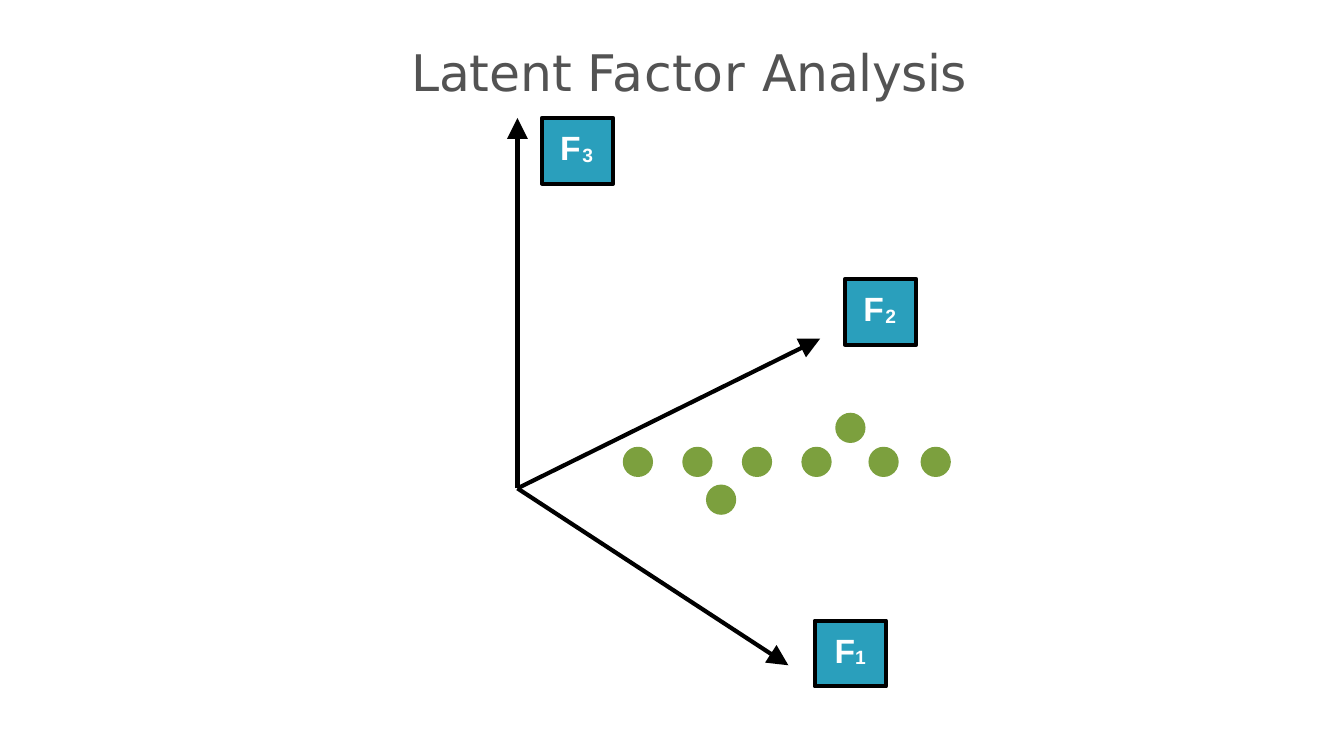
import dataclasses

import lxml.etree
import pptx
import pptx.dml.color
import pptx.enum.shapes
import pptx.enum.text
import pptx.oxml.ns
import pptx.util

BLACK = pptx.dml.color.RGBColor(0x00, 0x00, 0x00)
WHITE = pptx.dml.color.RGBColor(0xFF, 0xFF, 0xFF)
GREY = pptx.dml.color.RGBColor(0x53, 0x53, 0x53)
TEAL = pptx.dml.color.RGBColor(0x2A, 0x9F, 0xBC)
GREEN = pptx.dml.color.RGBColor(0x7C, 0xA0, 0x3E)

SLIDE_WIDTH = pptx.util.Inches(17.78)
SLIDE_HEIGHT = pptx.util.Inches(10)
STROKE = pptx.util.Pt(4)

ORIGIN = (38.5, 64.6)
LABEL_SIZE = (5.29, 8.7)
DOT_SIZE = (2.25, 4.0)
DOT_ROW_LEFT, DOT_ROW_TOP, DOT_STEP = 46.34, 59.1, 4.43


@dataclasses.dataclass(frozen=True)
class Factor:
    index: str
    tip: tuple[float, float]
    label: tuple[float, float]
    indent: float = 0.24
    tracking: tuple[float, float] = (1.5, 2.2)


FACTORS = [
    Factor("1", (58.66, 88.0), (60.63, 82.1), 0.26, (-0.7, -1)),
    Factor("2", (61.02, 44.8), (62.88, 36.9)),
    Factor("3", (38.5, 15.6), (40.33, 15.6)),
]
DOTS = [(DOT_ROW_LEFT + step * DOT_STEP, DOT_ROW_TOP) for step in range(4)] + [
    (64.62, DOT_ROW_TOP),
    (68.5, DOT_ROW_TOP),
    (52.53, 64.1),
    (62.15, 54.6),
]


def across(percent: float) -> int:
    return round(SLIDE_WIDTH * percent / 100)


def down(percent: float) -> int:
    return round(SLIDE_HEIGHT * percent / 100)


def add_text(paragraph, text: str, *, size: float, font: str, color,
             bold: bool = False, tracking: float = 0, baseline: int = 0) -> None:
    run = paragraph.add_run()
    run.text = text
    run.font.size = pptx.util.Pt(size)
    run.font.name = font
    run.font.color.rgb = color
    run.font.bold = bold
    properties = run.font._element
    properties.set("spc", str(round(tracking * 100)))
    if baseline:
        properties.set("baseline", str(baseline * 1000))


def prepare_frame(frame, *, left: float, top: float, space_before: float):
    frame.margin_left = pptx.util.Inches(left)
    frame.margin_top = pptx.util.Inches(top)
    frame.margin_right = frame.margin_bottom = 0
    frame.word_wrap = True
    frame.auto_size = pptx.enum.text.MSO_AUTO_SIZE.NONE
    frame.vertical_anchor = pptx.enum.text.MSO_ANCHOR.TOP
    paragraph = frame.paragraphs[0]
    paragraph.alignment = pptx.enum.text.PP_ALIGN.LEFT
    paragraph.space_before = pptx.util.Pt(space_before)
    paragraph.line_spacing = 1.0
    return paragraph


def add_title(slide) -> None:
    title = slide.shapes.title
    title.left, title.top = across(30.54), down(5.4)
    title.width, title.height = across(41.45), down(8.3)
    heading = prepare_frame(title.text_frame, left=0.01, top=0.01, space_before=1)
    for word, tracking in (("Latent ", -0.1), ("Factor ", 0.6), ("Analysis", -0.4)):
        add_text(heading, word, size=48, font="DejaVu Sans", color=GREY,
                 tracking=tracking)


def add_axis(slide, factor: Factor) -> None:
    axis = slide.shapes.add_connector(
        pptx.enum.shapes.MSO_CONNECTOR.STRAIGHT,
        across(ORIGIN[0]), down(ORIGIN[1]),
        across(factor.tip[0]), down(factor.tip[1]))
    axis.line.color.rgb = BLACK
    axis.line.width = STROKE
    lxml.etree.SubElement(axis.line._get_or_add_ln(), pptx.oxml.ns.qn("a:tailEnd"),
                          type="triangle", w="lg", len="lg")
    lxml.etree.SubElement(axis._element.spPr, pptx.oxml.ns.qn("a:effectLst"))


def add_filled(slide, kind, place: tuple[float, float],
               size: tuple[float, float], color):
    shape = slide.shapes.add_shape(kind, across(place[0]), down(place[1]),
                                   across(size[0]), down(size[1]))
    shape.shadow.inherit = False
    shape.fill.solid()
    shape.fill.fore_color.rgb = color
    shape.line.fill.background()
    return shape


def add_label(slide, factor: Factor) -> None:
    label = add_filled(slide, pptx.enum.shapes.MSO_SHAPE.RECTANGLE,
                       factor.label, LABEL_SIZE, TEAL)
    label.line.color.rgb = BLACK
    label.line.width = STROKE
    symbol = prepare_frame(label.text_frame, left=factor.indent, top=0.12,
                           space_before=9)
    letter_tracking, index_tracking = factor.tracking
    add_text(symbol, "F", size=32, font="Arial", color=WHITE, bold=True,
             tracking=letter_tracking)
    add_text(symbol, factor.index, size=31.5, font="Arial", color=WHITE, bold=True,
             tracking=index_tracking, baseline=-5)


def main() -> None:
    deck = pptx.Presentation()
    deck.slide_width, deck.slide_height = SLIDE_WIDTH, SLIDE_HEIGHT
    slide = deck.slides.add_slide(deck.slide_layouts[5])
    add_title(slide)
    for factor in FACTORS:
        add_axis(slide, factor)
    for dot in DOTS:
        add_filled(slide, pptx.enum.shapes.MSO_SHAPE.OVAL, dot, DOT_SIZE, GREEN)
    for factor in FACTORS:
        add_label(slide, factor)
    deck.save("out.pptx")


if __name__ == "__main__":
    main()
